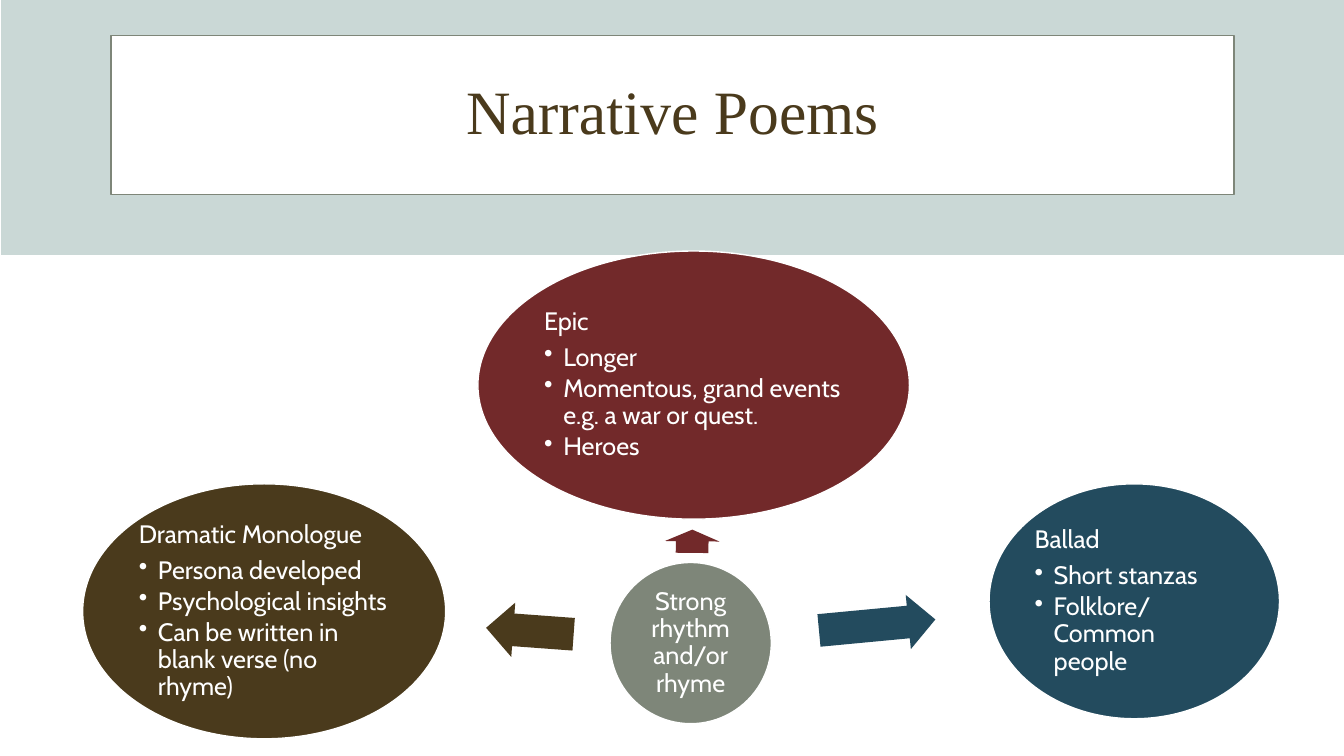
from pptx import Presentation
from pptx.dml.color import RGBColor
from pptx.enum.shapes import MSO_SHAPE
from pptx.enum.text import MSO_ANCHOR, PP_ALIGN
from pptx.oxml.xmlchemy import OxmlElement
from pptx.util import Inches, Pt

WHITE, MIST, SAGE = "FFFFFF", "CAD8D6", "7E8679"
BROWN, RED, BLUE = "4A3A1C", "72292A", "234B5E"

# (heading, points, colour, ellipse box, arrow box, arrow rotation)
POEM_TYPES = [
    ("Epic",
     ["Longer", "Momentous, grand events e.g. a war or quest.", "Heroes"],
     RED, (35.56, 33.2, 32.11, 35.47), (50.64, 68, 1.73, 7.2), 270.6),
    ("Ballad",
     ["Short stanzas", "Folklore/Common people"],
     BLUE, (73.59, 64, 21.61, 31.07), (60.92, 79.07, 8.7, 7.2), 354.6),
    ("Dramatic Monologue",
     ["Persona developed", "Psychological insights",
      "Can be written in blank verse (no rhyme)"],
     BROWN, (6.15, 64, 27.01, 33.73), (36.16, 79.87, 6.53, 7.2), 184.2),
]


def rgb(value):
    return RGBColor.from_string(value)


class Deck:
    """Slide style and drawing; boxes are percentages of the slide's size."""
    title_font, body_font = "Times New Roman", "Cabin"
    title_size, body_size = 44, 18

    def __init__(self):
        self.prs = Presentation()
        self.prs.slide_width, self.prs.slide_height = Inches(13.33), Inches(7.5)
        self.s = self.prs.slides.add_slide(self.prs.slide_layouts[6])

    def shape(self, kind, box, fill, line=None):
        w, h = self.prs.slide_width, self.prs.slide_height
        x, y, width, height = (round(share * side / 100)
                               for share, side in zip(box, (w, h, w, h)))
        sp = self.s.shapes.add_shape(kind, x, y, width, height)
        sp.shadow.inherit = False
        sp.fill.solid()
        sp.fill.fore_color.rgb = rgb(fill)
        if line:
            sp.line.color.rgb = rgb(line)
            sp.line.width = Pt(1)
        else:
            sp.line.fill.background()
        return sp

    def frame(self, sp, inset):
        """Prepare a shape's text frame with middle anchor and equal insets."""
        tf = sp.text_frame
        tf.word_wrap = True
        tf.vertical_anchor = MSO_ANCHOR.MIDDLE
        tf.margin_left = tf.margin_right = Inches(inset)
        tf.margin_top = tf.margin_bottom = Inches(inset)
        return tf

    def style(self, p, font, size, color, align, after=0):
        p.alignment = align
        p.line_spacing = 0.9
        p.space_after = Pt(after)
        for r in p.runs:
            r.font.name, r.font.size = font, Pt(size)
            r.font.color.rgb = rgb(color)

    def bullet(self, p):
        pPr = p._p.get_or_add_pPr()
        pPr.set("marL", str(Inches(0.19)))
        pPr.set("indent", str(-Inches(0.19)))
        bu = OxmlElement("a:buChar")
        bu.set("char", "•")
        pPr.append(bu)

    def title(self, text, box):
        sp = self.shape(MSO_SHAPE.RECTANGLE, box, WHITE, SAGE)
        tf = self.frame(sp, 0.05)
        tf.text = text
        self.style(tf.paragraphs[0], self.title_font, self.title_size,
                   BROWN, PP_ALIGN.CENTER)

    def ellipse(self, heading, points, fill, box, align=PP_ALIGN.LEFT):
        sp = self.shape(MSO_SHAPE.OVAL, box, fill, WHITE)
        tf = self.frame(sp, 0.03)
        tf.text = "\n".join([heading] + points)
        for i, p in enumerate(tf.paragraphs):
            if i:
                self.bullet(p)
            self.style(p, self.body_font, self.body_size, WHITE, align,
                       self.body_size * (0.15 if i else 0.35))

    def arrow(self, box, fill, rotation):
        sp = self.shape(MSO_SHAPE.RIGHT_ARROW, box, fill)
        sp.adjustments[0], sp.adjustments[1] = 0.6, 0.5
        sp.rotation = rotation


def main():
    deck = Deck()
    deck.shape(MSO_SHAPE.RECTANGLE, (0.08, 0, 100, 33.73), MIST)
    deck.title("Narrative Poems", (8.25, 4.67, 83.57, 21.07))
    deck.ellipse("Strong rhythm and/or rhyme", [], SAGE,
                 (45.39, 74.4, 12, 21.33), PP_ALIGN.CENTER)
    for heading, points, color, ellipse_box, arrow_box, rotation in POEM_TYPES:
        deck.arrow(arrow_box, color, rotation)
        deck.ellipse(heading, points, color, ellipse_box)
    deck.prs.save("out.pptx")


if __name__ == "__main__":
    main()
